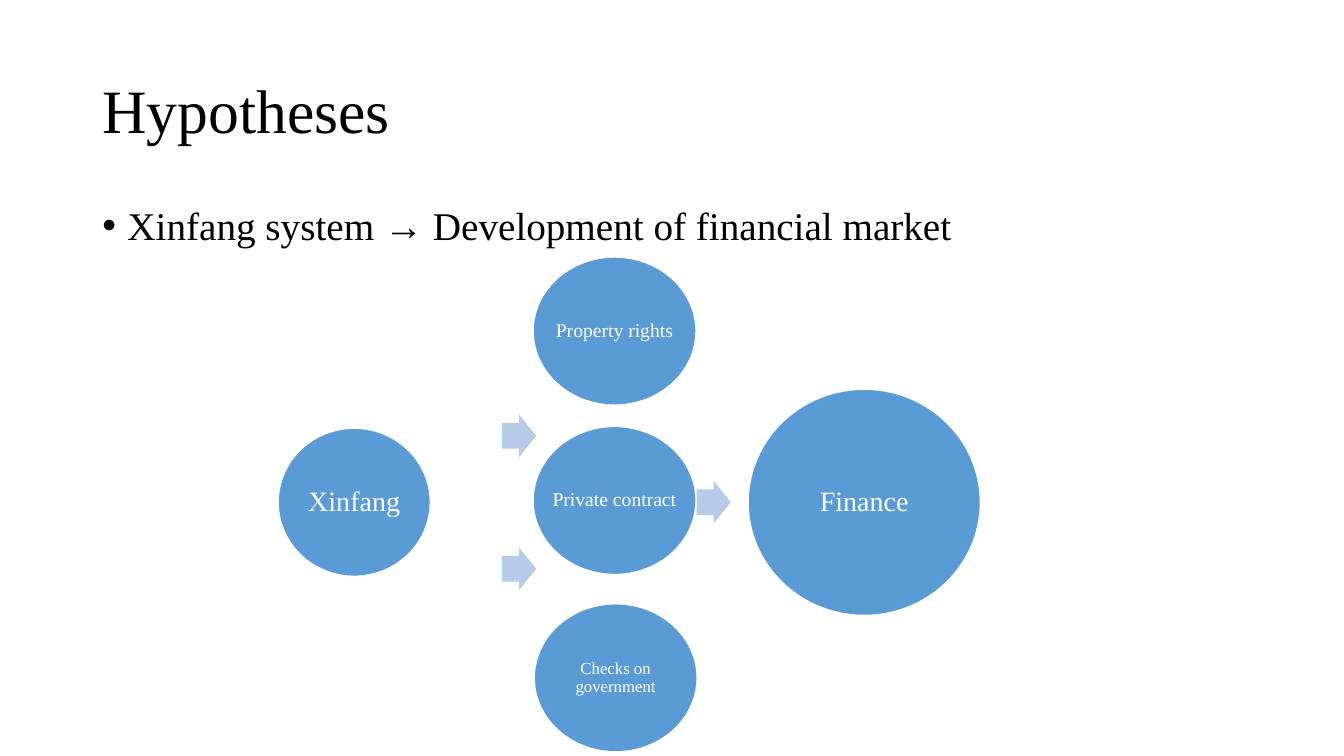
from lxml import etree
from pptx import Presentation
from pptx import util as u
from pptx.dml import color
from pptx.enum import shapes, text
from pptx.oxml import ns

COLOURS = {"text": "000000", "circle": "5B9BD5", "arrow": "B5CBE7", "white": "FFFFFF"}
FONT = "Times New Roman"
ROW_CENTRE = 358.8
ARROW_OFFSET = 47.5


class SlideBuilder:
    def __init__(self, slide):
        self.slide = slide

    def rgb(self, name):
        return color.RGBColor.from_string(COLOURS[name])

    def add_words(self, frame, words, size, colour, align, anchor):
        frame.auto_size = text.MSO_AUTO_SIZE.NONE
        frame.vertical_anchor = anchor
        paragraph = frame.paragraphs[0]
        paragraph.alignment = align
        paragraph.line_spacing = 0.9
        run = paragraph.add_run()
        run.text = words
        run.font.name = FONT
        run.font.size = u.Pt(size)
        run.font.color.rgb = self.rgb(colour)

    def title(self, words):
        shape = self.slide.shapes.title
        shape.left, shape.top, shape.width, shape.height = map(u.Pt, (66, 28.8, 828, 104.4))
        self.add_words(shape.text_frame, words, 44, "text",
                       text.PP_ALIGN.LEFT, text.MSO_ANCHOR.MIDDLE)

    def bullet(self, words):
        box = self.slide.shapes.add_textbox(*map(u.Pt, (66, 144, 828, 342.7)))
        frame = box.text_frame
        frame.word_wrap = True
        properties = frame.paragraphs[0]._p.get_or_add_pPr()
        properties.set("marL", str(u.Pt(18)))
        properties.set("indent", str(u.Pt(-18)))
        etree.SubElement(properties, ns.qn("a:buFont")).set("typeface", "Arial")
        etree.SubElement(properties, ns.qn("a:buChar")).set("char", "•")
        self.add_words(frame, words, 28, "text", text.PP_ALIGN.LEFT, text.MSO_ANCHOR.TOP)

    def centred_shape(self, kind, centre_x, centre_y, width, height, fill):
        shape = self.slide.shapes.add_shape(
            kind, u.Pt(centre_x - width / 2), u.Pt(centre_y - height / 2),
            u.Pt(width), u.Pt(height))
        shape.shadow.inherit = False
        shape.fill.solid()
        shape.fill.fore_color.rgb = self.rgb(fill)
        return shape

    def circle(self, words, centre_x, centre_y, width, height, size, wrap=False):
        shape = self.centred_shape(shapes.MSO_SHAPE.OVAL, centre_x, centre_y,
                                   width, height, "circle")
        shape.line.color.rgb = self.rgb("white")
        shape.line.width = u.Pt(1)
        frame = shape.text_frame
        frame.margin_left = frame.margin_right = frame.margin_top = frame.margin_bottom = 0
        frame.word_wrap = wrap
        self.add_words(frame, words, size, "white",
                       text.PP_ALIGN.CENTER, text.MSO_ANCHOR.MIDDLE)

    def arrow(self, centre_x, centre_y):
        shape = self.centred_shape(shapes.MSO_SHAPE.RIGHT_ARROW, centre_x, centre_y,
                                   24.5, 30.4, "arrow")
        shape.adjustments[0] = 0.6
        shape.adjustments[1] = 0.5
        shape.line.fill.background()


def main():
    presentation = Presentation()
    presentation.slide_width, presentation.slide_height = u.Pt(960), u.Pt(540)
    builder = SlideBuilder(presentation.slides.add_slide(presentation.slide_layouts[5]))

    builder.title("Hypotheses")
    builder.bullet("Xinfang system → Development of financial market")

    builder.circle("Checks on government", 439.8, 484.2, 116.4, 105.8, 12, wrap=True)
    builder.circle("Property rights", 439, 236.5, 116.4, 105.8, 14)
    builder.arrow(509.8, ROW_CENTRE)
    builder.circle("Finance", 617.3, ROW_CENTRE, 165.9, 161.6, 20)
    for offset in (-ARROW_OFFSET, ARROW_OFFSET):
        builder.arrow(370.8, ROW_CENTRE + offset)
    builder.circle("Xinfang", 253, ROW_CENTRE, 108.7, 105.8, 20)
    builder.circle("Private contract", 439, 357.5, 116.4, 105.8, 14)

    presentation.save("out.pptx")


if __name__ == "__main__":
    main()
